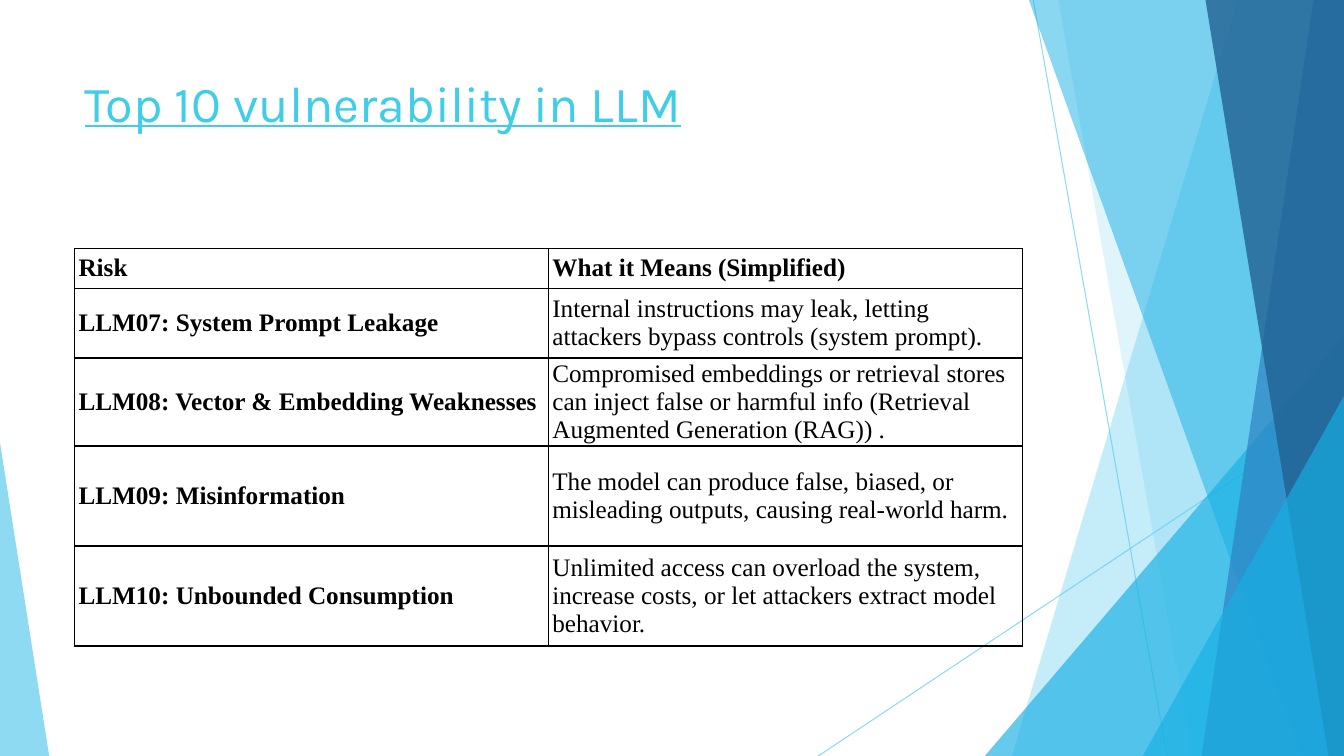
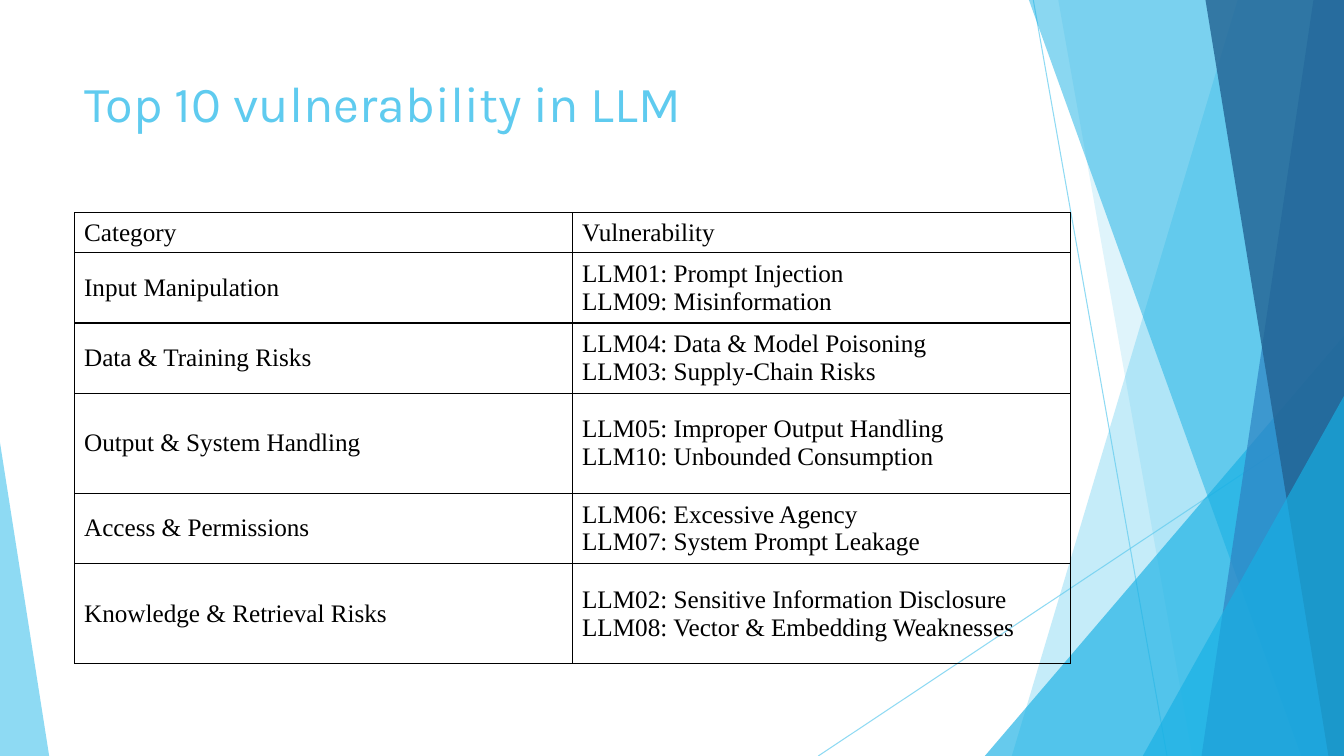
import lxml.etree
import pptx
import pptx.dml.color
import pptx.enum.shapes
import pptx.enum.text
import pptx.oxml.ns
import pptx.util

Cm = pptx.util.Cm
Pt = pptx.util.Pt
qn = pptx.oxml.ns.qn

SLIDE_BOX = (0, 0, 33.87, 19.05)
TITLE_BOX = (1.88, 1.7, 23.88, 3.66)
COLORS = {
    "sky": "5FCBEF",
    "azure": "17B0E4",
    "blue": "2E83C3",
    "navy": "226292",
    "turquoise": "3FCDE7",
    "black": "000000",
}
TITLE_FRAME = {
    "vertical_anchor": pptx.enum.text.MSO_ANCHOR.TOP,
    "auto_size": pptx.enum.text.MSO_AUTO_SIZE.NONE,
    "word_wrap": True,
}
TITLE_FONT = {"name": "Karla", "size": Pt(36)}
TABLE_FONT = {"name": "Times New Roman", "size": Pt(18)}
PLAIN_TABLE = {"first_row": False, "horz_banding": False}

RAYS = [((26.04, 0), (29.41, 19.05)), ((33.87, 10.24), (20.62, 19.05))]
FACETS = [
    ("panel", (31.19, 25.5), "sky", 36),
    ("panel", (26.67, 30.05), "sky", 20),
    ("triangle", (24.82, 8.46, 9.05, 1), "azure", 66),
    ("panel", (25.93, 32.79), "azure", 50),
    ("panel", (33.1, 30.28), "blue", 70),
    ("panel", (30.38, 33.48), "navy", 80),
    ("triangle", (28.8, 9.98, 5.07, 1), "azure", 66),
    ("triangle", (0, 11.15, 1.24, 0), "sky", 70),
]

RISK_ROWS = [
    ("Risk", "What it Means (Simplified)"),
    ("LLM07: System Prompt Leakage",
     "Internal instructions may leak, letting attackers bypass controls (system prompt)."),
    ("LLM08: Vector & Embedding Weaknesses",
     "Compromised embeddings or retrieval stores can inject false or harmful info "
     "(Retrieval Augmented Generation (RAG)) ."),
    ("LLM09: Misinformation",
     "The model can produce false, biased, or misleading outputs, causing real-world harm."),
    ("LLM10: Unbounded Consumption",
     "Unlimited access can overload the system, increase costs, or let attackers extract "
     "model behavior."),
]
CATEGORY_ROWS = [
    ("Category", "Vulnerability"),
    ("Input Manipulation", "LLM01: Prompt Injection\nLLM09: Misinformation"),
    ("Data & Training Risks", "LLM04: Data & Model Poisoning\nLLM03: Supply-Chain Risks"),
    ("Output & System Handling",
     "LLM05: Improper Output Handling\nLLM10: Unbounded Consumption"),
    ("Access & Permissions", "LLM06: Excessive Agency\nLLM07: System Prompt Leakage"),
    ("Knowledge & Retrieval Risks",
     "LLM02: Sensitive Information Disclosure\nLLM08: Vector & Embedding Weaknesses"),
]


def rgb(color):
    return pptx.dml.color.RGBColor.from_string(COLORS[color])


def apply_format(target, values):
    for name, value in values.items():
        setattr(target, name, value)


def format_paragraph(paragraph, values, color):
    paragraph.alignment = pptx.enum.text.PP_ALIGN.LEFT
    apply_format(paragraph.font, values)
    paragraph.font.color.rgb = rgb(color)


def set_opacity(shape, percent):
    for color in list(shape.element.iter(qn("a:srgbClr"))):
        lxml.etree.SubElement(color, qn("a:alpha"), val=str(percent * 1000))


def add_ray(shapes, box, start, end):
    left, top = box[:2]
    ray = shapes.add_connector(
        pptx.enum.shapes.MSO_CONNECTOR.STRAIGHT,
        Cm(left + start[0]), Cm(top + start[1]), Cm(left + end[0]), Cm(top + end[1]))
    ray.line.width = Pt(0.75)
    ray.line.color.rgb = rgb("sky")
    lxml.etree.SubElement(ray.element.spPr, qn("a:effectLst"))
    set_opacity(ray, 70)


def add_panel(shapes, box, top_x, bottom_x):
    left, top, width, height = box
    right, bottom = Cm(left + width), Cm(top + height)
    outline = shapes.build_freeform(Cm(left + top_x), Cm(top))
    outline.add_line_segments(
        [(right, Cm(top)), (right, bottom), (Cm(left + bottom_x), bottom)], close=True)
    return outline.convert_to_shape()


def add_triangle(shapes, box, x, y, width, apex):
    left, top, _, height = box
    triangle = shapes.add_shape(
        pptx.enum.shapes.MSO_SHAPE.ISOSCELES_TRIANGLE,
        Cm(left + x), Cm(top + y), Cm(width), Cm(height - y))
    triangle.adjustments[0] = apex
    return triangle


def add_facets(shapes, box):
    builders = {"panel": add_panel, "triangle": add_triangle}
    for start, end in RAYS:
        add_ray(shapes, box, start, end)
    for kind, geometry, color, opacity in FACETS:
        facet = builders[kind](shapes, box, *geometry)
        facet.shadow.inherit = False
        facet.fill.solid()
        facet.fill.fore_color.rgb = rgb(color)
        facet.line.fill.background()
        set_opacity(facet, opacity)


def decorate_layout(layout, slide):
    for placeholder in list(layout.placeholders):
        if placeholder.placeholder_format.type != pptx.enum.shapes.PP_PLACEHOLDER.TITLE:
            layout.shapes.element.remove(placeholder.element)
    group = slide.shapes.add_group_shape()
    add_facets(group.shapes, SLIDE_BOX)
    layout.shapes.element.append(group.element)


def add_title(slide, box, text, color, underline):
    title = slide.shapes.title
    apply_format(title, dict(zip(("left", "top", "width", "height"), map(Cm, box))))
    title.text_frame.text = text
    apply_format(title.text_frame, TITLE_FRAME)
    format_paragraph(
        title.text_frame.paragraphs[0], {**TITLE_FONT, "underline": underline}, color)


def add_borders(cell):
    properties = cell._tc.get_or_add_tcPr()
    for side in ("lnL", "lnR", "lnT", "lnB"):
        border = lxml.etree.SubElement(properties, qn(f"a:{side}"), w=str(Pt(1)))
        fill = lxml.etree.SubElement(border, qn("a:solidFill"))
        lxml.etree.SubElement(fill, qn("a:srgbClr"), val=COLORS["black"])


def format_cell(cell, text, margins, bold):
    cell.text = text
    horizontal, vertical = map(Cm, margins)
    apply_format(cell, {
        "vertical_anchor": pptx.enum.text.MSO_ANCHOR.MIDDLE,
        "margin_left": horizontal,
        "margin_right": horizontal,
        "margin_top": vertical,
        "margin_bottom": vertical,
    })
    add_borders(cell)
    cell.fill.background()
    for paragraph in cell.text_frame.paragraphs:
        format_paragraph(paragraph, {**TABLE_FONT, "bold": bold}, "black")


def add_text_table(slide, box, rows, heights, margins, bold_headings):
    left, top, width = box
    frame = slide.shapes.add_table(
        len(rows), 2, Cm(left), Cm(top), Cm(width), Cm(sum(heights)))
    table = frame.table
    apply_format(table, PLAIN_TABLE)
    for column in table.columns:
        column.width = Cm(width / 2)
    for row_index, (texts, height) in enumerate(zip(rows, heights)):
        table.rows[row_index].height = Cm(height)
        for column_index, text in enumerate(texts):
            is_heading = row_index == 0 or column_index == 0
            format_cell(table.cell(row_index, column_index), text, margins,
                        bold_headings and is_heading)


def add_table_slide(presentation, layout, title_color, underline, **table_values):
    slide = presentation.slides.add_slide(layout)
    add_title(slide, TITLE_BOX, "Top 10 vulnerability in LLM", title_color, underline)
    add_text_table(slide, **table_values)
    return slide


def main():
    presentation = pptx.Presentation()
    presentation.slide_width = Cm(SLIDE_BOX[2])
    presentation.slide_height = Cm(SLIDE_BOX[3])
    layout = presentation.slide_layouts.get_by_name("Title Only")
    risk_slide = add_table_slide(
        presentation, layout, "turquoise", True,
        box=(1.88, 6.26, 23.88), rows=RISK_ROWS,
        heights=(1, 1.76, 2.22, 2.52, 2.52), margins=(0.1, 0.05), bold_headings=True)
    decorate_layout(layout, risk_slide)
    add_table_slide(
        presentation, layout, "sky", False,
        box=(1.88, 5.36, 25.1), rows=CATEGORY_ROWS,
        heights=(1.01, 1.77, 1.77, 2.52, 1.77, 2.52), margins=(0.24, 0.13),
        bold_headings=False)
    presentation.save("out.pptx")


if __name__ == "__main__":
    main()
